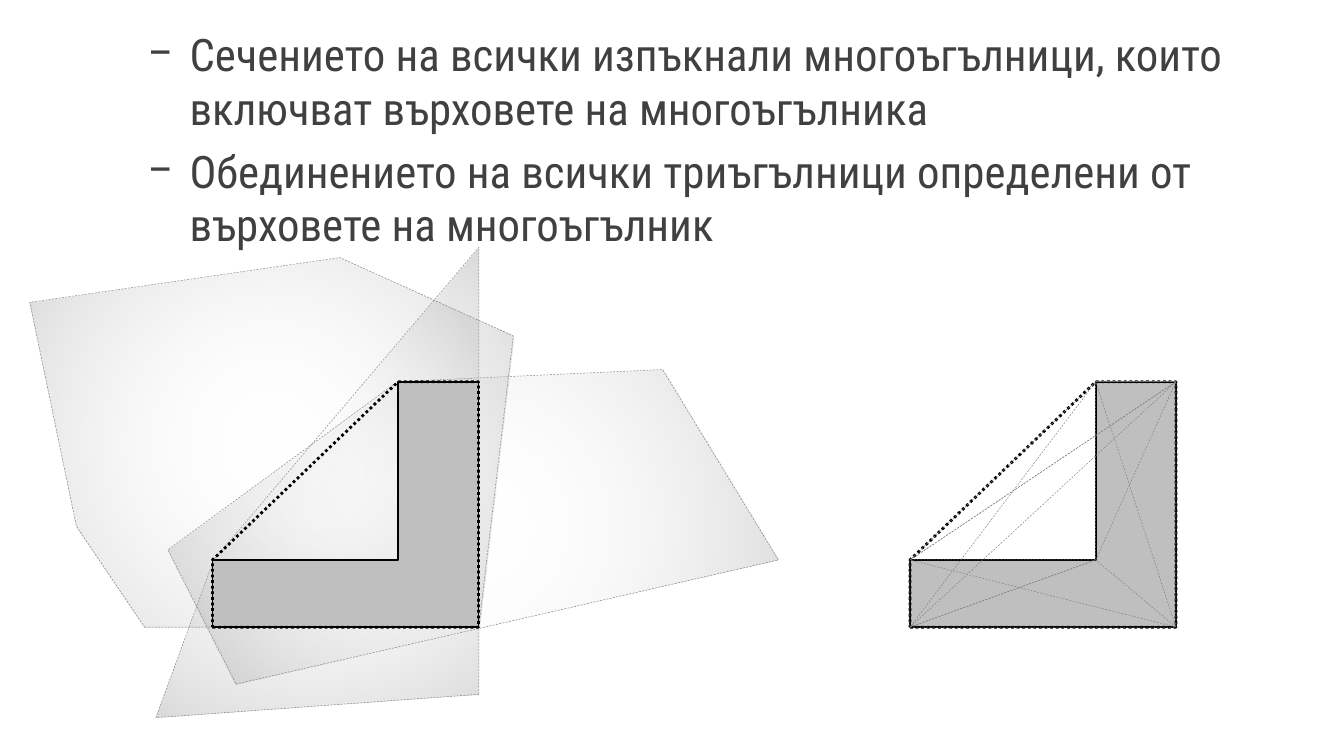
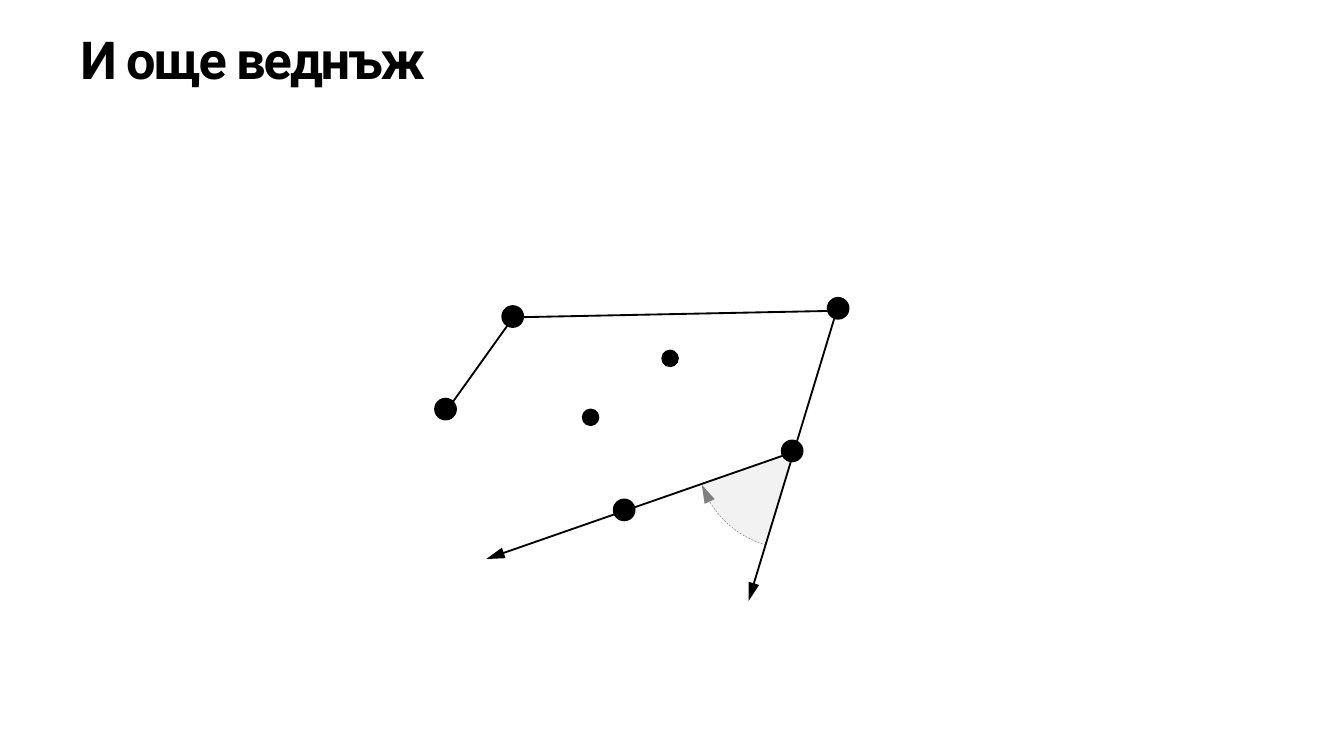
from pptx import Presentation
from pptx.dml.color import RGBColor
from pptx.enum.dml import MSO_LINE
from pptx.enum.shapes import MSO_CONNECTOR, MSO_SHAPE
from pptx.oxml import parse_xml
from pptx.oxml.ns import nsdecls, qn
from pptx.oxml.xmlchemy import OxmlElement
from pptx.util import Pt

BLACK, DARK, MID, GREY, PALE = "000000", "404040", "808080", "BFBFBF", "F2F2F2"
SOLID = (BLACK, 1, None)
DOTS = (BLACK, 1.5, MSO_LINE.ROUND_DOT)
THIN = (MID, 0.25, MSO_LINE.DASH)

BODY = (36, 10.8, 684, 384)
TITLE = dict(name="Roboto", size=Pt(28), bold=True)
ITEM = dict(name="Roboto Condensed", size=Pt(24), bold=False)

HEAD = "И още веднъж"
ITEMS = [
    "Сечението на всички изпъкнали многоъгълници, които включват върховете на многоъгълника",
    "Обединението на всички триъгълници определени от върховете на многоъгълник",
]

# Corners of the L shape, relative to its left edge
CORNERS = dict(A=(0, 336), B=(142.5, 336), C=(142.5, 204.5),
               D=(99.5, 204.5), E=(99.5, 300), F=(0, 300))
BODY_L, HULL = "ABCDEF", "ABCDF"
LEFT, RIGHT = 113.8, 487.5
TRIOS = ["AEB", "EFA", "BCF", "FCD", "ECD", "BCD", "ACD"]
COVERS = [
    [(256.5, 372), (256.5, 132.5), (114.5, 300), (83.5, 384.5)],
    [(126.5, 366.5), (417, 300), (355, 198), (213, 204.5), (90, 294.5)],
    [(77.5, 336), (256.5, 336), (275, 180), (182, 138), (16, 162), (41, 282)],
]

ARC = (373, 191, 103, 103)
SWEEP = (106.1, 160.45)  # degrees, clockwise from the right
EDGES = [  # start, end, arrow
    ((425.5, 242), (260.5, 299.5), True),
    ((448.5, 165.5), (401, 322), True),
    ((276, 170), (449, 166.5), False),
    ((240, 219), (275, 170), False),
]
DOT_LIST = [  # centre, diameter
    ((359, 192), 9.4), ((274.7, 169.6), 12.2), ((238.7, 219.2), 12.2),
    ((334.4, 273.2), 12.2), ((424.4, 241.6), 12.2), ((449, 165.2), 12.2),
    ((316.4, 223.6), 9.4),
]

GLOW = f"""<a:gradFill {nsdecls('a')} rotWithShape="1"><a:gsLst>
<a:gs pos="0"><a:srgbClr val="FFFFFF"><a:alpha val="0"/></a:srgbClr></a:gs>
<a:gs pos="100000"><a:srgbClr val="{MID}"><a:alpha val="30000"/></a:srgbClr></a:gs>
</a:gsLst><a:path path="circle">
<a:fillToRect l="50000" t="50000" r="50000" b="50000"/></a:path></a:gradFill>"""


def rgb(text):
    return RGBColor.from_string(text)


def pts(vals):
    return [Pt(v) for v in vals]


def node(tag, **attrs):
    """Make an XML element with attributes."""
    item = OxmlElement(tag)
    for key, val in attrs.items():
        item.set(key, val)
    return item


def pen(line, style):
    """Apply a (colour, width, dash) style."""
    color, width, dash = style
    line.color.rgb = rgb(color)
    line.width = Pt(width)
    if dash:
        line.dash_style = dash


def tip(line):
    """Put a long arrowhead at the end of a line."""
    line._get_or_add_ln().append(node("a:tailEnd", type="triangle", len="lg"))


def paint(shape, fill=None, style=None):
    shape.shadow.inherit = False
    if fill:
        shape.fill.solid()
        shape.fill.fore_color.rgb = rgb(fill)
    else:
        shape.fill.background()
    if style:
        pen(shape.line, style)
    else:
        shape.line.fill.background()


def outline(slide, spots, fill=None, style=THIN):
    """Draw a closed polygon through the given points."""
    first, *rest = [pts(spot) for spot in spots]
    form = slide.shapes.build_freeform(*first, scale=1.0)
    form.add_line_segments(rest, close=True)
    shape = form.convert_to_shape()
    paint(shape, fill, style)
    return shape


def trace(slide, names, left, fill=None, style=THIN):
    """Draw a polygon given by the letters of the L shape's corners."""
    spots = [(left + CORNERS[n][0], CORNERS[n][1]) for n in names]
    outline(slide, spots, fill, style)


def angle(slide, left):
    trace(slide, BODY_L, left, GREY, SOLID)
    trace(slide, HULL, left, style=DOTS)


def cover(slide, spots):
    shape = outline(slide, spots)
    old = shape._element.spPr.find(qn("a:noFill"))
    old.getparent().replace(old, parse_xml(GLOW))


def write(slide, lines, form, color, margin, hang, mark=None):
    frame = slide.shapes.add_textbox(*pts(BODY)).text_frame
    frame.word_wrap = True
    for i, text in enumerate(lines):
        para = frame.paragraphs[0] if i == 0 else frame.add_paragraph()
        para.text = text
        if i:
            para.space_before = Pt(4.8)
        props = para._p.get_or_add_pPr()
        props.set("marL", str(Pt(margin)))
        props.set("indent", str(-Pt(hang)))
        if mark:
            props.append(node("a:buFont", typeface=form["name"]))
            props.append(node("a:buChar", char=mark))
        else:
            props.append(node("a:buNone"))
        font = para.runs[0].font
        for key, val in form.items():
            setattr(font, key, val)
        font.color.rgb = rgb(color)
    return frame


def link(slide, start, end, arrow):
    line = slide.shapes.add_connector(MSO_CONNECTOR.STRAIGHT, *pts(start + end))
    pen(line.line, SOLID)
    if arrow:
        tip(line.line)
    line._element.spPr.append(node("a:effectLst"))


def hulls(slide):
    angle(slide, RIGHT)
    write(slide, ITEMS, ITEM, DARK, 58.5, 22.5, "–")
    for spots in COVERS:
        cover(slide, spots)
    for names in TRIOS:
        trace(slide, names, RIGHT)
    angle(slide, LEFT)


def wrap(slide):
    frame = write(slide, [HEAD], TITLE, BLACK, 27, 27)
    frame.paragraphs[0].runs[0]._r.get_or_add_rPr().set("spc", "-100")
    arc = slide.shapes.add_shape(MSO_SHAPE.ARC, *pts(ARC))
    for i, deg in enumerate(SWEEP):
        arc.adjustments[i] = deg * 0.6
    paint(arc, PALE, THIN)
    tip(arc.line)
    for edge in EDGES:
        link(slide, *edge)
    for (x, y), size in DOT_LIST:
        box = (x - size / 2, y - size / 2, size, size)
        paint(slide.shapes.add_shape(MSO_SHAPE.OVAL, *pts(box)), BLACK)


def main():
    deck = Presentation()
    deck.slide_width, deck.slide_height = Pt(720), Pt(405)
    for draw in (hulls, wrap):
        draw(deck.slides.add_slide(deck.slide_layouts[6]))
    deck.save("out.pptx")


if __name__ == "__main__":
    main()
